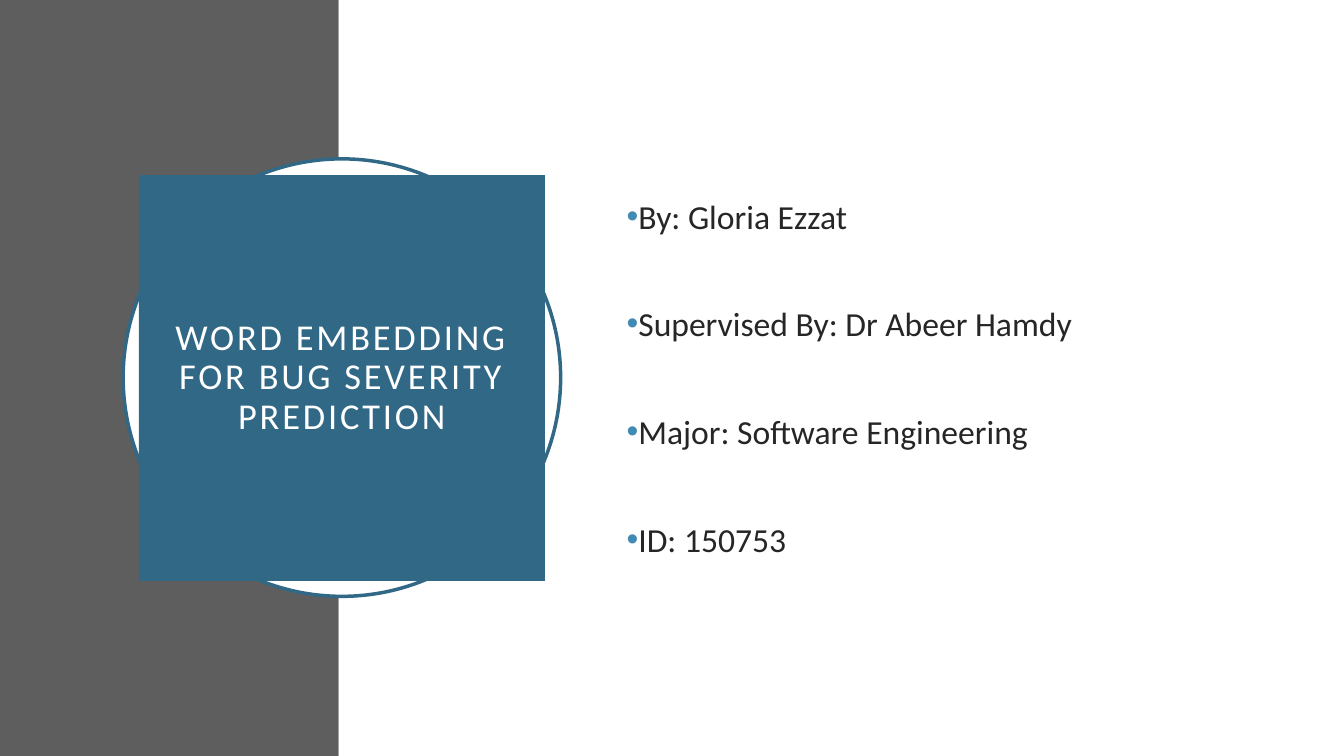
import pptx
import pptx.util
import pptx.dml.color
import pptx.enum.shapes
import pptx.enum.text
import pptx.oxml
import pptx.oxml.ns

Pt = pptx.util.Pt
RGB = pptx.dml.color.RGBColor
KIND = pptx.enum.shapes.MSO_SHAPE
ALIGN = pptx.enum.text.PP_ALIGN

GRAY = RGB(0x5E, 0x5E, 0x5E)
WHITE = RGB(0xFF, 0xFF, 0xFF)
BLUE = RGB(0x31, 0x68, 0x86)
DOT = RGB(0x41, 0x8A, 0xB3)
INK = RGB(0x26, 0x26, 0x26)

WIDE, HIGH = 960, 540
BAND = 242
FACTS = ["By: Gloria Ezzat", "Supervised By: Dr Abeer Hamdy",
         "Major: Software Engineering", "ID: 150753"]


def add_block(slide, kind, left, top, width, height, fill, line=None):
    block = slide.shapes.add_shape(
        kind, Pt(left), Pt(top), Pt(width), Pt(height))
    block.shadow.inherit = False
    block.fill.solid()
    block.fill.fore_color.rgb = fill
    if line is None:
        block.line.fill.background()
    else:
        block.line.color.rgb = line
        block.line.width = Pt(2.5)
    return block


def add_dot(para, color):
    props = para._p.get_or_add_pPr()
    props.set("marL", "0")
    props.set("indent", str(-Pt(18)))
    space = pptx.oxml.ns.nsdecls("a")
    for xml in (f'<a:buClr {space}><a:srgbClr val="{color}"/></a:buClr>',
                f'<a:buFont {space} typeface="Arial"/>',
                f'<a:buChar {space} char="\u2022"/>'):
        props.append(pptx.oxml.parse_xml(xml))


def set_text(shape, lines, size, color, align=ALIGN.LEFT, inset=(7.2, 3.6),
             track=0, pitch=1.0, gap=0, dot=None):
    frame = shape.text_frame
    frame.word_wrap = True
    frame.vertical_anchor = pptx.enum.text.MSO_ANCHOR.MIDDLE
    frame.margin_left = frame.margin_right = Pt(inset[0])
    frame.margin_top = frame.margin_bottom = Pt(inset[1])
    for rank, line in enumerate(lines):
        para = frame.add_paragraph() if rank else frame.paragraphs[0]
        para.alignment = align
        para.line_spacing = pitch
        para.space_before = Pt(gap if rank else 0)
        if dot is not None:
            add_dot(para, dot)
        run = para.add_run()
        run.text = line
        run.font.name = "Calibri"
        run.font.size = Pt(size)
        run.font.color.rgb = color
        if track:
            run._r.get_or_add_rPr().set("spc", str(track * 100))


def main():
    deck = pptx.Presentation()
    deck.slide_width, deck.slide_height = Pt(WIDE), Pt(HIGH)
    slide = deck.slides.add_slide(deck.slide_layouts[6])

    # Background halves
    add_block(slide, KIND.RECTANGLE, 0, 0, BAND, HIGH, GRAY)
    add_block(slide, KIND.RECTANGLE, BAND, 0, WIDE - BAND, HIGH, WHITE)

    # Title square on a ring
    add_block(slide, KIND.OVAL, 88, 113.5, 312.5, 312.5, WHITE, BLUE)
    title = add_block(slide, KIND.RECTANGLE, 99.25, 125, 290, 290, BLUE)
    set_text(title, ["WORD EMBEDDING FOR BUG SEVERITY PREDICTION"], 26, WHITE,
             align=ALIGN.CENTER, inset=(14.4, 14.4), track=2, pitch=0.9)

    # Facts about the project
    facts = slide.shapes.add_textbox(Pt(440.5), Pt(110), Pt(419), Pt(319))
    set_text(facts, FACTS, 24, INK, gap=48.2, dot=DOT)

    deck.save("out.pptx")


main()
